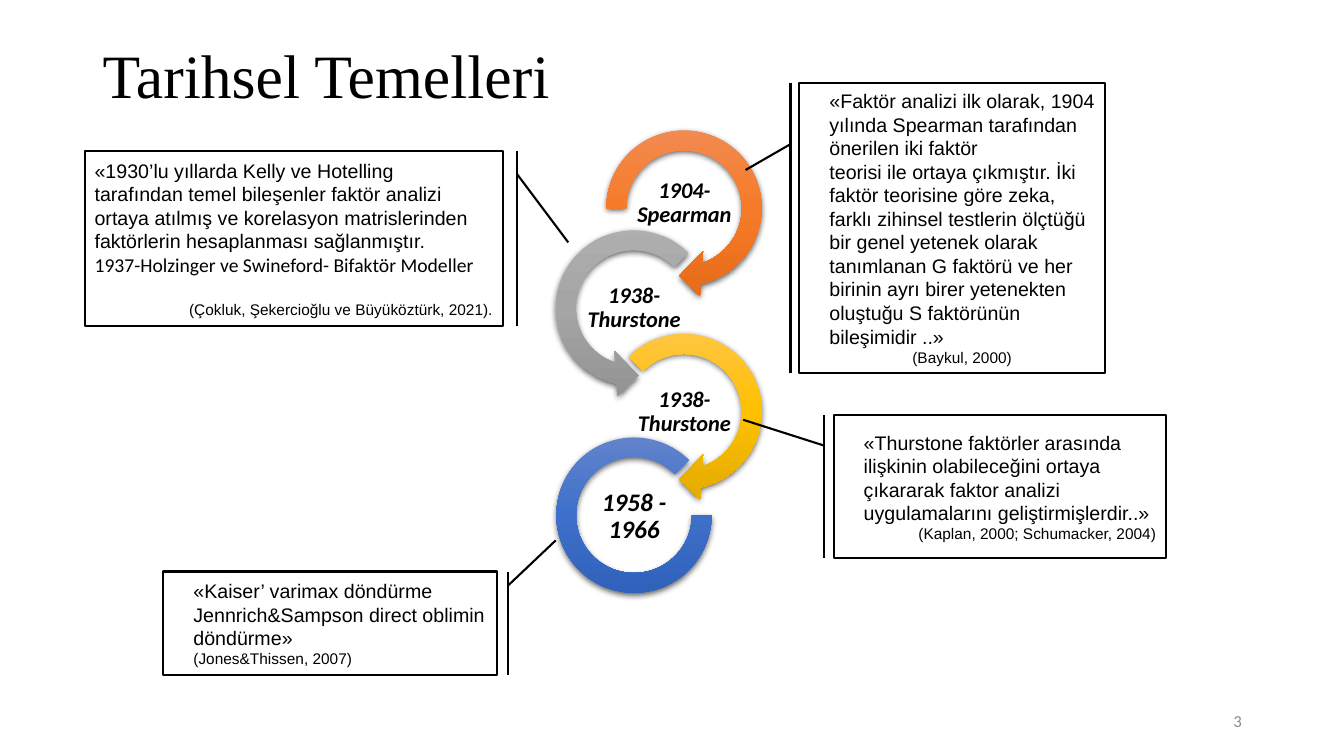
import copy
import lxml.etree
import pptx
import pptx.dml.color
import pptx.enum.shapes
import pptx.enum.text
import pptx.oxml.ns
import pptx.util

SHAPES = pptx.enum.shapes.MSO_SHAPE
ALIGN = pptx.enum.text.PP_ALIGN
ANCHOR = pptx.enum.text.MSO_ANCHOR
qn = pptx.oxml.ns.qn

deck = pptx.Presentation()
deck.slide_width = pptx.util.Inches(13.333)
deck.slide_height = pptx.util.Inches(7.5)
page = deck.slides.add_slide(deck.slide_layouts[6])


def color(value):
    return pptx.dml.color.RGBColor.from_string(value)


def area(left, top, width, height):
    """Turn percentages of the slide into lengths."""
    across, down = deck.slide_width / 100, deck.slide_height / 100
    return [round(n) for n in (left * across, top * down, width * across, height * down)]


# Title, slide number and ring labels: one paragraph per box
RIGHT_COLUMN, LEFT_COLUMN = 44.18, 40.43
LABEL_TOP, LABEL_STEP = 23.6, 13.8
labels = [("1904-Spearman", 16), ("1938-Thurstone", 16), ("1938-Thurstone", 16), ("1958 - 1966", 18)]

# Chain of rings: preset, left, top, width, height, adjustments, gradient
rings = [
    (SHAPES.CIRCULAR_ARROW, RIGHT_COLUMN, 15.6, 13.43, 23.87,
     (0.11, 11.423, 45, 108, 0.125), ("F18C57", "F67B28", "E56C19")),
    (SHAPES.LEFT_CIRCULAR_ARROW, LEFT_COLUMN, 28.8, 13.43, 23.87,
     (0.11, 11.423, 63, 189, 0.125), ("AFAFAF", "A5A5A5", "939393")),
    (SHAPES.CIRCULAR_ARROW, RIGHT_COLUMN, 42.53, 13.43, 23.87,
     (0.11, 11.423, 45, 135, 0.125), ("FFC64B", "FFC000", "E3AB00")),
    (SHAPES.BLOCK_ARC, 41.4, 57.87, 11.55, 20.53,
     (0, 189, 0.127), ("6183CB", "3E70CA", "3062BB")),
]
for preset, left, top, width, height, adjustments, gradient in rings:
    ring = page.shapes.add_shape(preset, *area(left, top, width, height))
    for index, value in enumerate(adjustments):
        ring.adjustments[index] = value
    ring.line.fill.background()

    # Three-stop gradient running downwards
    ring.fill.gradient()
    ring.fill.gradient_angle = 270
    first_stop = next(ring.element.iter(qn("a:gs")))
    first_stop.addnext(copy.deepcopy(first_stop))
    for index, stop in enumerate(ring.fill.gradient_stops):
        stop.position = index / 2
        stop.color.rgb = color(gradient[index])

    # Soft shadow below the ring
    ring.shadow.inherit = False
    effects = next(ring.element.iter(qn("a:effectLst")))
    shadow = lxml.etree.SubElement(effects, qn("a:outerShdw"), blurRad="57150", dist="19050",
                                   dir="5400000", algn="ctr", rotWithShape="0")
    shade = lxml.etree.SubElement(shadow, qn("a:srgbClr"), val="000000")
    lxml.etree.SubElement(shade, qn("a:alpha"), val="63000")

# Single-line texts: text, area, size, font, colour, bold italic, alignment, anchor, inset, spacing
texts = [
    ("Tarihsel Temelleri", area(6.9, 5.33, 86.25, 19.33), 44, "Times New Roman", "000000",
     False, ALIGN.LEFT, ANCHOR.TOP, 0.1, 0.9),
    ("3", area(70.65, 92.67, 22.5, 5.33), 12, "Calibri", "8C8C8C",
     False, ALIGN.RIGHT, ANCHOR.MIDDLE, 0.1, 1.0),
]
for index, (label, size) in enumerate(labels):
    column = LEFT_COLUMN if index % 2 else RIGHT_COLUMN
    texts.append((label, area(column + 3, LABEL_TOP + index * LABEL_STEP, 7.5, 6.67), size,
                  "Calibri", "000000", True, ALIGN.CENTER, ANCHOR.MIDDLE, 0.01, 0.9))
for text, place, size, font, ink, strong, align, anchor, inset, spacing in texts:
    box = page.shapes.add_textbox(*place)
    frame = box.text_frame
    frame.word_wrap = True
    frame.vertical_anchor = anchor
    frame.margin_left = frame.margin_right = pptx.util.Inches(inset)
    frame.margin_top = frame.margin_bottom = pptx.util.Inches(inset / 2)
    para = frame.paragraphs[0]
    para.text = text
    para.alignment = align
    para.line_spacing = spacing
    para.font.name = font
    para.font.size = pptx.util.Pt(size)
    para.font.bold = para.font.italic = strong
    para.font.color.rgb = color(ink)

# Callouts: area, pointer, filled, then paragraphs of
# text, size, font, alignment, indent in inches, space before in points
callouts = [
    (area(59.48, 10.93, 22.73, 38.4), (0.212, -0.029, 0.301, -0.176), True, [
        ("«Faktör analizi ilk olarak, 1904 yılında Spearman tarafından önerilen iki faktör",
         14, "Arial", ALIGN.LEFT, 0.2, 0),
        ("teorisi ile ortaya çıkmıştır. İki faktör teorisine göre zeka, farklı zihinsel testlerin ölçtüğü",
         14, "Arial", ALIGN.LEFT, 0.2, 0),
        ("bir genel yetenek olarak tanımlanan G faktörü ve her birinin ayrı birer yetenekten",
         14, "Arial", ALIGN.LEFT, 0.2, 0),
        ("oluştuğu S faktörünün bileşimidir ..»", 14, "Arial", ALIGN.LEFT, 0.2, 0),
        ("(Baykul, 2000)", 11, "Arial", ALIGN.CENTER, 0.2, 0),
    ]),
    (area(6.3, 20, 31.13, 23.07), (0.133, 1.034, 0.523, 1.156), False, [
        ("«1930’lu yıllarda Kelly ve Hotelling", 14, "Arial", ALIGN.LEFT, 0, 0),
        ("tarafından temel bileşenler faktör analizi ortaya atılmış ve korelasyon matrislerinden",
         14, "Arial", ALIGN.LEFT, 0, 0),
        ("faktörlerin hesaplanması sağlanmıştır.", 14, "Arial", ALIGN.LEFT, 0, 0),
        ("1937-Holzinger ve Swineford- Bifaktör Modeller", 14, "Calibri", ALIGN.LEFT, 0, 0),
        ("(Çokluk, Şekercioğlu ve Büyüköztürk, 2021).", 11, "Arial", ALIGN.RIGHT, 0.2, 17),
    ]),
    (area(62.03, 54.93, 24.75, 18.93), (0.212, -0.029, 0.032, -0.272), True, [
        ("«Thurstone faktörler arasında ilişkinin olabileceğini ortaya çıkararak faktor analizi "
         "uygulamalarını geliştirmişlerdir..»", 14, "Arial", ALIGN.LEFT, 0.2, 0),
        ("(Kaplan, 2000; Schumacker, 2004)", 11, "Arial", ALIGN.RIGHT, 0.2, 0),
    ]),
    (area(12.15, 75.6, 24.83, 13.73), (0.133, 1.034, -0.3, 1.176), False, [
        ("«Kaiser’ varimax döndürme", 14, "Arial", ALIGN.LEFT, 0.2, 0),
        ("Jennrich&Sampson direct oblimin döndürme»", 14, "Arial", ALIGN.LEFT, 0.2, 0),
        ("(Jones&Thissen, 2007)", 11, "Arial", ALIGN.LEFT, 0.2, 0),
    ]),
]
for place, pointer, filled, paragraphs in callouts:
    callout = page.shapes.add_shape(SHAPES.LINE_CALLOUT_1_BORDER_AND_ACCENT_BAR, *place)
    callout.shadow.inherit = False
    for index, value in enumerate(pointer):
        callout.adjustments[index] = value
    if filled:
        callout.fill.solid()
        callout.fill.fore_color.rgb = color("FFFFFF")
    else:
        callout.fill.background()
    callout.line.color.rgb = color("000000")
    callout.line.width = pptx.util.Pt(1.5)
    frame = callout.text_frame
    frame.word_wrap = True
    frame.vertical_anchor = ANCHOR.MIDDLE
    for index, (text, size, font, align, indent, before) in enumerate(paragraphs):
        para = frame.add_paragraph() if index else frame.paragraphs[0]
        para.text = text
        para.alignment = align
        if before:
            para.space_before = pptx.util.Pt(before)
        properties = para._p.get_or_add_pPr()
        properties.set("marL", str(pptx.util.Inches(indent)))
        properties.set("indent", "0")
        para.font.name = font
        para.font.size = pptx.util.Pt(size)
        para.font.color.rgb = color("000000")

deck.save("out.pptx")
